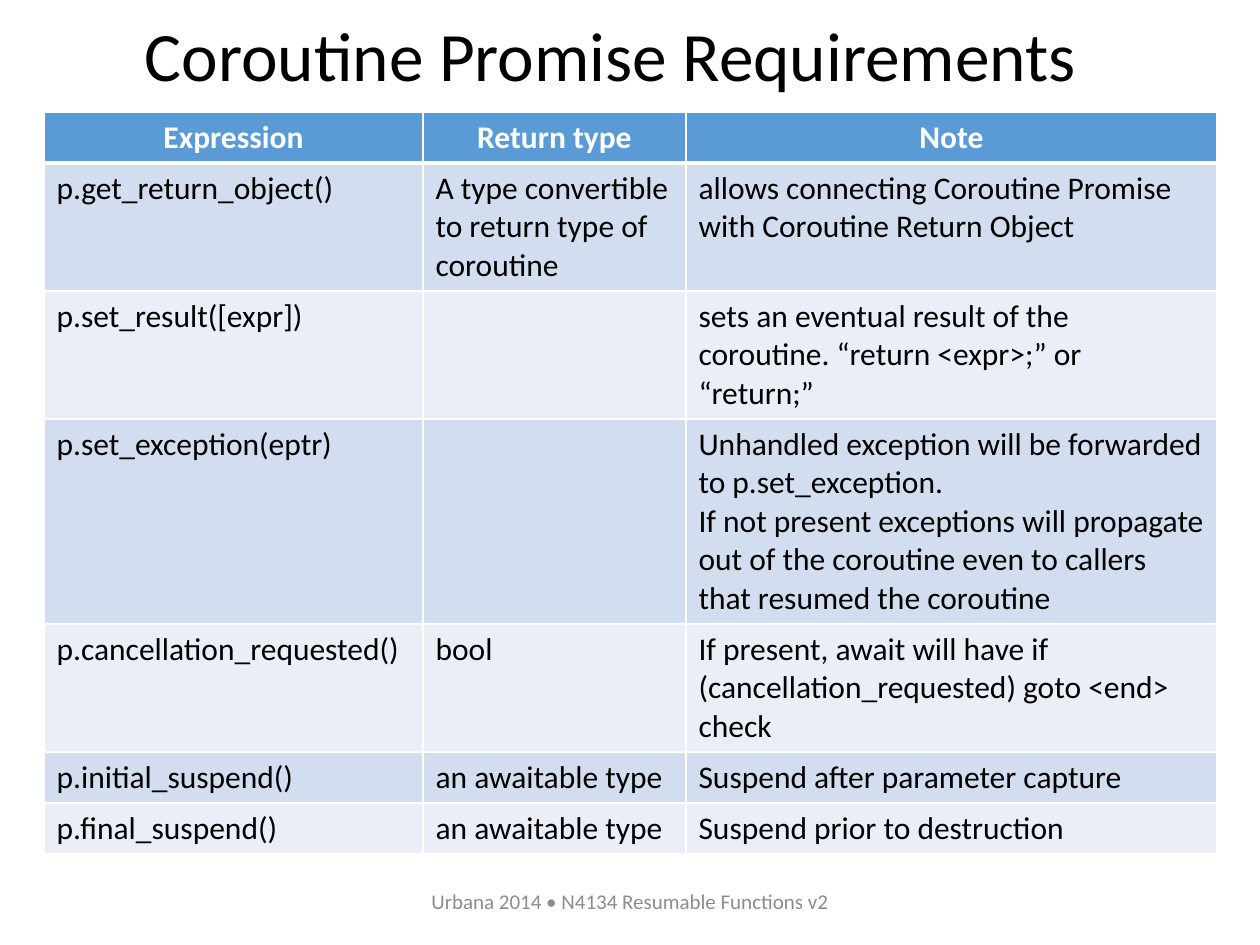
from pptx import Presentation
from pptx.dml.color import RGBColor
from pptx.enum.text import MSO_ANCHOR, MSO_AUTO_SIZE, PP_ALIGN
from pptx.oxml import parse_xml
from pptx.oxml.ns import nsdecls
from pptx.util import Pt

PIXEL = 914400 // 126
BLACK = RGBColor(0x00, 0x00, 0x00)
WHITE = RGBColor(0xFF, 0xFF, 0xFF)
GRAY = RGBColor(0x8C, 0x8C, 0x8C)
HEADER_BLUE = RGBColor(0x5B, 0x9B, 0xD5)
BANDS = [RGBColor(0xEA, 0xEF, 0xF7), RGBColor(0xD2, 0xDE, 0xEF)]


def write(frame, text, size=18, color=BLACK, bold=False, align=PP_ALIGN.LEFT, spacing=None):
    frame.text = text
    frame.word_wrap = True
    for para in frame.paragraphs:
        para.alignment = align
        para.line_spacing = spacing
        para.font.size = Pt(size)
        for span in para.runs:
            span.font.name = "Calibri"
            span.font.size = Pt(size)
            span.font.bold = bold
            span.font.color.rgb = color


def add_borders(cell, top=1, bottom=1):
    properties = cell._tc.get_or_add_tcPr()
    widths = {"lnL": 1, "lnR": 1, "lnT": top, "lnB": bottom}
    for position, (side, width) in enumerate(widths.items()):
        properties.insert(position, parse_xml(
            f'<a:{side} {nsdecls("a")} w="{Pt(width)}"><a:solidFill>'
            f'<a:srgbClr val="{WHITE}"/></a:solidFill></a:{side}>'))


deck = Presentation()
deck.slide_width = 1260 * PIXEL
deck.slide_height = 945 * PIXEL
page = deck.slides.add_slide(deck.slide_layouts[5])

title = page.shapes.title
title.left, title.top, title.width, title.height = [n * PIXEL for n in (132, 15, 1120, 88)]
write(title.text_frame, "Coroutine Promise Requirements", size=39.6, spacing=0.9)
title.text_frame.auto_size = MSO_AUTO_SIZE.NONE
title.text_frame.vertical_anchor = MSO_ANCHOR.MIDDLE

footer = page.shapes.add_textbox(*[n * PIXEL for n in (417, 876, 426, 50)])
write(footer.text_frame, "Urbana 2014 • N4134 Resumable Functions v2",
      size=12, color=GRAY, align=PP_ALIGN.CENTER)
footer.text_frame.vertical_anchor = MSO_ANCHOR.MIDDLE

rows = [
    ("Expression", "Return type", "Note"),
    ("p.get_return_object()", "A type convertible to return type of coroutine",
     "allows connecting Coroutine Promise with Coroutine Return Object"),
    ("p.set_result([expr])", "",
     "sets an eventual result of the coroutine. “return <expr>;” or “return;” "),
    ("p.set_exception(eptr)", "",
     "Unhandled exception will be forwarded to p.set_exception.\n"
     "If not present exceptions will propagate out of the coroutine even to callers "
     "that resumed the coroutine"),
    ("p.cancellation_requested()", "bool",
     "If present, await will have if (cancellation_requested) goto <end> check "),
    ("p.initial_suspend()", "an awaitable type", "Suspend after parameter capture"),
    ("p.final_suspend()", "an awaitable type", "Suspend prior to destruction"),
]
column_widths = [379, 263, 531]
row_heights = [51, 128, 128, 205, 128, 51, 51]

table = page.shapes.add_table(
    len(rows), len(column_widths), 44 * PIXEL, 112 * PIXEL,
    sum(column_widths) * PIXEL, sum(row_heights) * PIXEL).table
for column, width in zip(table.columns, column_widths):
    column.width = width * PIXEL
for row_index, (texts, height) in enumerate(zip(rows, row_heights)):
    table.rows[row_index].height = height * PIXEL
    header = row_index == 0
    for column_index, text in enumerate(texts):
        cell = table.cell(row_index, column_index)
        write(cell.text_frame, text, bold=header, color=WHITE if header else BLACK,
              align=PP_ALIGN.CENTER if header else PP_ALIGN.LEFT)
        cell.fill.solid()
        cell.fill.fore_color.rgb = HEADER_BLUE if header else BANDS[row_index % 2]
        add_borders(cell, top=3 if row_index == 1 else 1, bottom=3 if header else 1)

deck.save("out.pptx")
